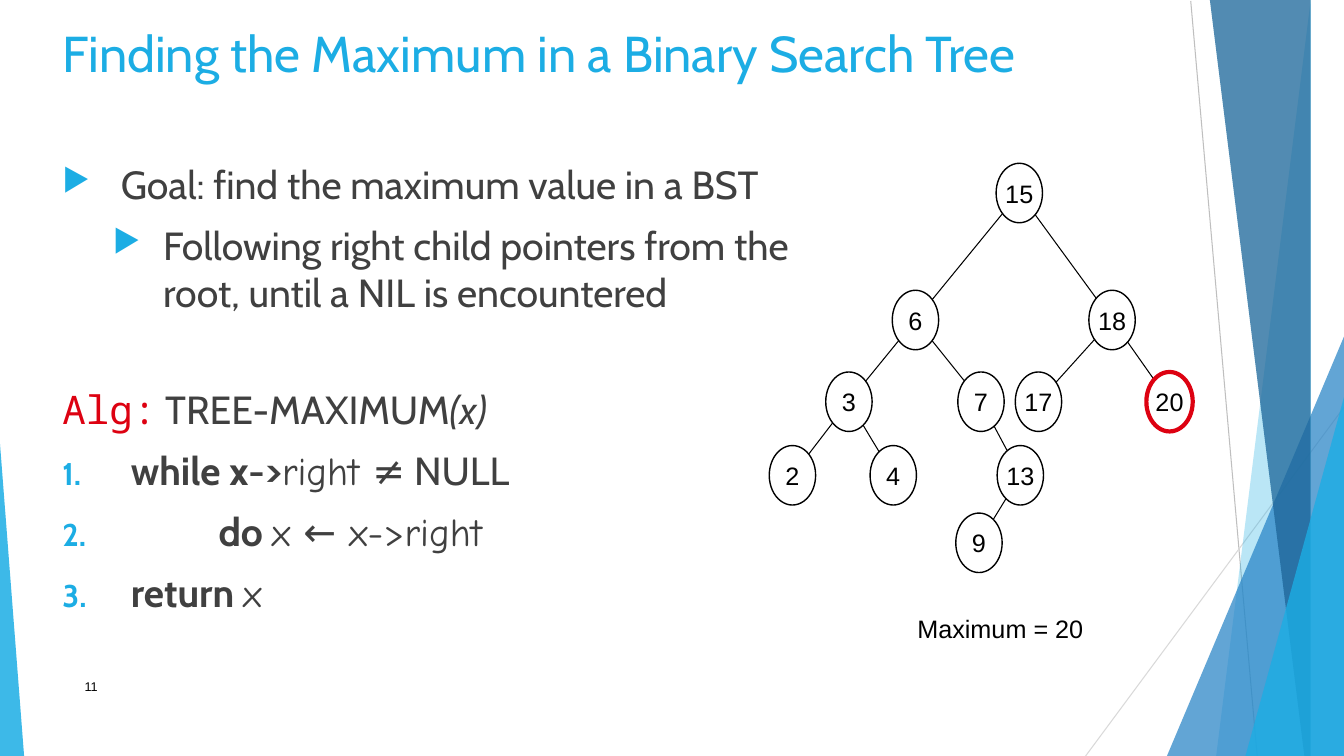
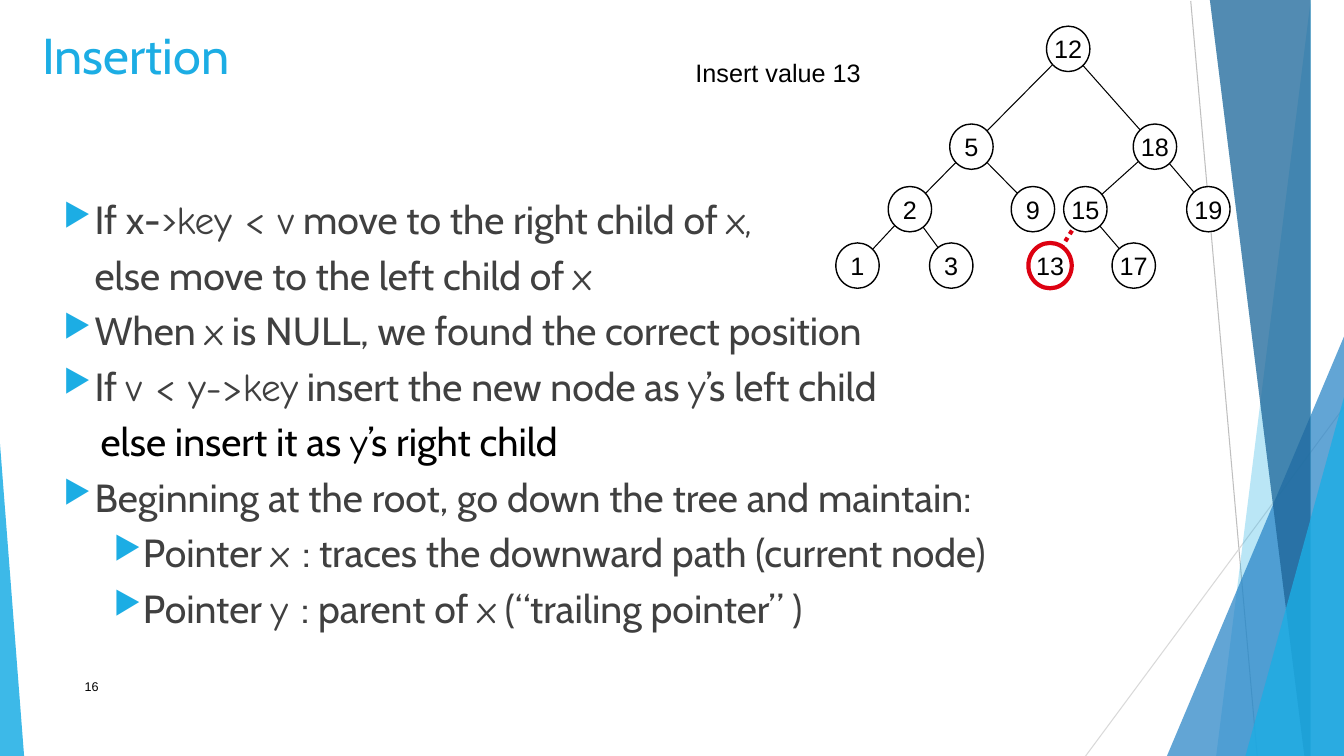
from lxml import etree
from pptx import Presentation
from pptx.dml.color import RGBColor
from pptx.enum import dml, shapes, text
from pptx.oxml.ns import qn
from pptx.util import Inches, Pt

SKY = RGBColor(0x1C, 0xAD, 0xE4)
PALE_SKY = RGBColor(0x77, 0xCE, 0xEF)
BLUE = RGBColor(0x26, 0x83, 0xC6)
NAVY = RGBColor(0x1D, 0x62, 0x94)
SILVER = RGBColor(0xBF, 0xBF, 0xBF)
MIST = RGBColor(0xD9, 0xD9, 0xD9)
INK = RGBColor(0x40, 0x40, 0x40)
BLACK = RGBColor(0, 0, 0)
WHITE = RGBColor(0xFF, 0xFF, 0xFF)
RED = RGBColor(0xDD, 0x01, 0x11)

SANS, HAND, MONO, PLAIN = "Cabin", "Comic Neue", "Noto Sans Mono", "Arial"
BOTTOM = 7.51
RIGHT = 13.33

# Side bands, back to front: outline points or (box, apex), colour, opacity
BANDS = [
    ([(12.81, 0), (RIGHT, 0), (RIGHT, BOTTOM), (11.71, BOTTOM)], SKY, 30),
    ([(11.94, 0), (RIGHT, 0), (RIGHT, BOTTOM), (12.59, BOTTOM)], SKY, 20),
    ((11.57, 3.34, 1.76, 1), BLUE, 72),
    ([(11.79, 0), (RIGHT, 0), (RIGHT, BOTTOM), (13.12, BOTTOM)], NAVY, 70),
    ([(13.19, 0), (RIGHT, 0), (RIGHT, BOTTOM), (12.64, BOTTOM)], PALE_SKY, 70),
    ([(12.66, 0), (RIGHT, 0), (RIGHT, BOTTOM), (13.26, BOTTOM)], SKY, 65),
    ((12.35, 3.94, 0.98, 1), SKY, 80),
    ((0, 4.4, 0.24, 0), SKY, 85),
]


def hand(words):
    return words, {"font": HAND}


def bold(words):
    return words, {"bold": True}


class Deck:
    def __init__(self):
        self.prs = Presentation()
        self.prs.slide_width, self.prs.slide_height = Inches(13.33), Inches(7.5)
        self.slide = None

    def new_slide(self, title, left, top, number):
        self.slide = self.prs.slides.add_slide(self.prs.slide_layouts[6])
        self.line((11.81, 0.01), (12.47, BOTTOM), SILVER)
        self.line((RIGHT, 4.04), (10.76, BOTTOM), MIST)
        for outline, color, opacity in BANDS:
            self.band(outline, color, opacity)
        self.label(str(number), 0.74, 6.61, 6.89, 0.4, size=9,
                   anchor=text.MSO_ANCHOR.MIDDLE)
        self.label(title, left, top, 10.6, 0.74, size=36, font=SANS, color=SKY)

    def line(self, start, end, color=BLACK, width=0.75, dash=None):
        ends = [Inches(v) for v in (*start, *end)]
        cx = self.slide.shapes.add_connector(shapes.MSO_CONNECTOR.STRAIGHT, *ends)
        cx.line.color.rgb = color
        cx.line.width = Pt(width)
        if dash:
            cx.line.dash_style = dash
        etree.SubElement(cx._element.spPr, qn("a:effectLst"))

    def band(self, outline, color, opacity):
        if isinstance(outline, list):
            ff = self.slide.shapes.build_freeform(*outline[0], scale=Inches(1))
            ff.add_line_segments(outline[1:], close=True)
            sp = ff.convert_to_shape()
        else:
            left, top, width, apex = outline
            sp = self.slide.shapes.add_shape(
                shapes.MSO_SHAPE.ISOSCELES_TRIANGLE, Inches(left), Inches(top),
                Inches(width), Inches(BOTTOM - top))
            sp.adjustments[0] = apex
        sp.shadow.inherit = False
        sp.fill.solid()
        sp.fill.fore_color.rgb = color
        sp.line.fill.background()
        clr = sp._element.spPr.find(qn("a:solidFill")).find(qn("a:srgbClr"))
        etree.SubElement(clr, qn("a:alpha"), val=str(opacity * 1000))

    def run(self, p, words, size, font=SANS, color=INK, bold=False, italic=False):
        r = p.add_run()
        r.text = words
        r.font.name, r.font.size = font, Pt(size)
        r.font.color.rgb = color
        r.font.bold, r.font.italic = bold, italic

    def text_box(self, left, top, width, height, wrap=True):
        box = self.slide.shapes.add_textbox(
            Inches(left), Inches(top), Inches(width), Inches(height))
        box.text_frame.word_wrap = wrap
        return box.text_frame

    def label(self, words, left, top, width, height, size=18, font=PLAIN,
              color=BLACK, anchor=text.MSO_ANCHOR.TOP, wrap=True):
        tf = self.text_box(left, top, width, height, wrap)
        tf.vertical_anchor = anchor
        self.run(tf.paragraphs[0], words, size, font, color)

    def body(self, left, top, width, height, paragraphs, gap):
        """Each paragraph: marker, text indent, hanging depth, runs[, gap]."""
        tf = self.text_box(left, top, width, height)
        for i, (marker, indent, hang, runs, *own_gap) in enumerate(paragraphs):
            p = tf.paragraphs[0] if i == 0 else tf.add_paragraph()
            p.space_before = Pt(own_gap[0] if own_gap else gap)
            self.bullet(p, marker, indent, hang)
            for item in runs:
                words, style = (item, {}) if isinstance(item, str) else item
                self.run(p, words, 28, **style)

    def bullet(self, p, marker, indent, hang):
        pPr = p._p.get_or_add_pPr()
        pPr.set("marL", str(Inches(indent)))
        pPr.set("indent", str(-Inches(hang)))
        if not marker:
            etree.SubElement(pPr, qn("a:buNone"))
            return
        clr = etree.SubElement(pPr, qn("a:buClr"))
        etree.SubElement(clr, qn("a:srgbClr"), val=str(SKY))
        etree.SubElement(pPr, qn("a:buSzPct"), val="80000")
        if isinstance(marker, int):
            etree.SubElement(pPr, qn("a:buAutoNum"), type="arabicPeriod",
                             startAt=str(marker))
        else:
            etree.SubElement(pPr, qn("a:buChar"), char=marker)

    def tree(self, nodes, levels, width, height, marked, dotted=False):
        """Nodes map a value to its left edge, level and parent."""
        def center(value):
            left, level, _ = nodes[value]
            return left + width / 2, levels[level] + height / 2

        # Edges first, so that the nodes cover their ends
        for value, (_, _, parent) in nodes.items():
            if parent is None:
                continue
            style = {}
            if dotted and value == marked:
                style = dict(color=RED, width=3, dash=dml.MSO_LINE.ROUND_DOT)
            self.line(center(parent), center(value), **style)
        for value, (left, level, _) in nodes.items():
            self.node(value, left, levels[level], width, height, value == marked)

    def node(self, value, left, top, width, height, marked):
        sp = self.slide.shapes.add_shape(
            shapes.MSO_SHAPE.OVAL, Inches(left), Inches(top),
            Inches(width), Inches(height))
        sp.shadow.inherit = False
        sp.fill.solid()
        sp.fill.fore_color.rgb = WHITE
        sp.line.color.rgb = RED if marked else BLACK
        sp.line.width = Pt(3 if marked else 1)
        tf = sp.text_frame
        tf.word_wrap = False
        tf.vertical_anchor = text.MSO_ANCHOR.MIDDLE
        p = tf.paragraphs[0]
        p.alignment = text.PP_ALIGN.CENTER
        self.run(p, str(value), 18, PLAIN, BLACK)


def maximum_slide(deck):
    deck.new_slide("Finding the Maximum in a Binary Search Tree", 0.52, 0.17, 11)
    nodes = {
        15: (9.88, 0, None), 6: (8.85, 1, 15), 18: (10.8, 1, 15),
        3: (8.19, 2, 6), 7: (9.5, 2, 6), 17: (10.07, 2, 18), 20: (11.37, 2, 18),
        2: (7.63, 3, 3), 4: (8.63, 3, 3), 13: (9.89, 3, 7), 9: (9.48, 4, 13),
    }
    deck.tree(nodes, [1.62, 2.88, 3.69, 4.42, 5.09], 0.46, 0.59, marked=20)
    deck.label("Maximum = 20", 9, 6.04, 1.85, 0.4, wrap=False)
    deck.body(0.52, 1.54, 7.68, 4.74, [
        ("▶", 0.58, 0.58, ["Goal: find the maximum value in a BST"]),
        ("▶", 1, 0.5, ["Following right child pointers from the root, "
                       "until a NIL is encountered"]),
        (None, 0, 0, [("Alg:", {"font": MONO, "color": RED}),
                      " TREE-MAXIMUM", ("(x)", {"italic": True})], 50),
        (1, 0.68, 0.68, [bold("while x->"), hand("right "), "≠ NULL"]),
        (2, 1.55, 1.55, [bold("do "), hand("x ← x->right")]),
        (3, 0.68, 0.68, [bold("return "), hand("x")]),
    ], gap=10)


def insertion_slide(deck):
    deck.new_slide("Insertion", 0.32, 0.19, 16)
    black = {"color": BLACK}
    deck.body(0.03, 1.89, 11, 4.61, [
        ("▶", 0.81, 0.31, ["If x->", hand("key < v"),
                           " move to the right child of ", hand("x,")]),
        (None, 0.81, 0, ["else move to the left child of ", hand("x")]),
        ("▶", 0.81, 0.31, ["When ", hand("x"),
                           " is NULL, we found the correct position"]),
        ("▶", 0.81, 0.31, ["If ", hand("v < y->key"),
                           " insert the new node as ", hand("y"),
                           "’s left child"]),
        (None, 0.87, 0, [("else insert it as ", black),
                         ("y", {"font": HAND, "color": BLACK}),
                         ("’s right child", black)]),
        ("▶", 0.81, 0.31,
         ["Beginning at the root, go down the tree and maintain:"]),
        ("▶", 1.25, 0.25, ["Pointer ", hand("x "),
                           ": traces the downward path (current node)"]),
        ("▶", 1.25, 0.25, ["Pointer ", hand("y "), ": parent of ", hand("x"),
                           " (“trailing pointer” )"]),
    ], gap=6)
    nodes = {
        12: (10.38, 0, None), 5: (9.42, 1, 12), 18: (11.24, 1, 12),
        2: (8.81, 2, 5), 9: (10.03, 2, 5), 15: (10.55, 2, 18), 19: (11.77, 2, 18),
        1: (8.29, 3, 2), 3: (9.22, 3, 2), 13: (10.2, 3, 15), 17: (11.03, 3, 15),
    }
    deck.tree(nodes, [0.26, 1.23, 1.85, 2.41], 0.43, 0.45, marked=13, dotted=True)
    deck.label("Insert value 13", 6.8, 0.52, 1.84, 0.4, wrap=False)


def main():
    deck = Deck()
    maximum_slide(deck)
    insertion_slide(deck)
    deck.prs.save("out.pptx")


if __name__ == "__main__":
    main()
